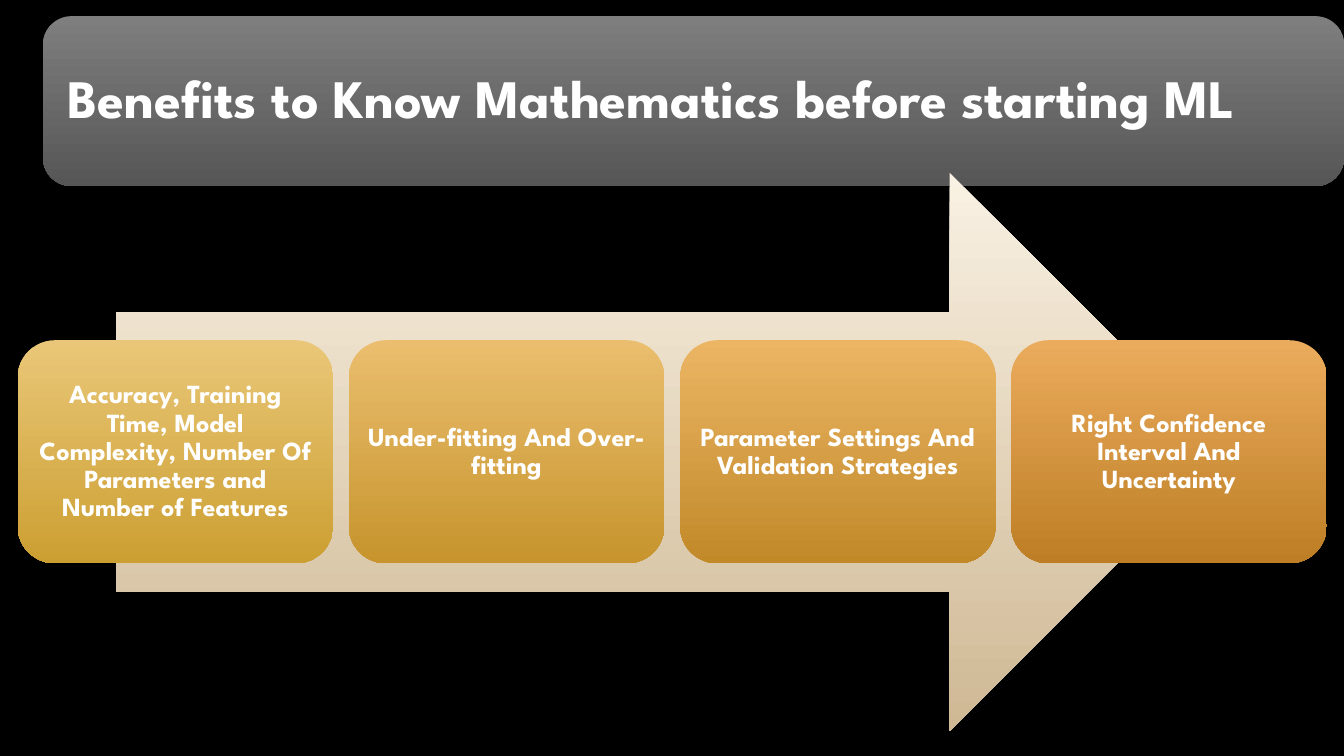
from dataclasses import dataclass
from pptx import Presentation
from pptx.dml.color import RGBColor as Rgb
from pptx.enum.shapes import MSO_SHAPE as Kind
from pptx.enum.text import MSO_ANCHOR as Anchor, PP_ALIGN as Align
from pptx.util import Inches, Pt

COLS, ROWS = 100, 56.25
UNIT = Inches(0.1)
CORNER = 1 / 6
INSET = CORNER * (1 - 0.5 ** 0.5)


@dataclass(frozen=True)
class Theme:
    font: str = "League Spartan"
    back: str = "000000"
    ink: str = "FFFFFF"
    head: tuple = ("7E7E7E", "565656")
    arrow: tuple = ("F9F1E3", "CFB894")
    cards: tuple = (
        ("EAC778", "CC9F32"),
        ("EABE6E", "C7942D"),
        ("EBB564", "C28929"),
        ("EBAB5C", "BD7E25"),
    )
    big: int = 29
    small: int = 14


THEME = Theme()


def scale(box):
    return [round(side * UNIT) for side in box]


def add_form(slide, kind, box, tones):
    form = slide.shapes.add_shape(kind, *scale(box))
    form.shadow.inherit = False
    form.line.fill.background()
    form.fill.gradient()
    form.fill.gradient_angle = 270
    for stop, tone in zip(form.fill.gradient_stops, tones):
        stop.color.rgb = Rgb.from_string(tone)


def add_text(slide, box, text, size=THEME.small, align=Align.CENTER, pad=0.58):
    frame = slide.shapes.add_textbox(*scale(box)).text_frame
    frame.word_wrap = True
    frame.vertical_anchor = Anchor.MIDDLE
    frame.margin_left = frame.margin_right = round(pad * UNIT)
    frame.margin_top = frame.margin_bottom = round(pad * UNIT)
    para = frame.paragraphs[0]
    para.alignment = align
    para.line_spacing = 0.9
    run = para.add_run()
    run.text = text
    run.font.name = THEME.font
    run.font.size = Pt(size)
    run.font.bold = True
    run.font.color.rgb = Rgb.from_string(THEME.ink)


def add_panel(slide, box, text, tones, **look):
    left, top, width, height = box
    edge = height * INSET
    add_form(slide, Kind.ROUNDED_RECTANGLE, box, tones)
    inner = (left + edge, top + edge, width - 2 * edge, height - 2 * edge)
    add_text(slide, inner, text, **look)


def add_title(slide, box, text):
    add_panel(slide, box, text, THEME.head, size=THEME.big, align=Align.LEFT, pad=1.2)


def add_cards(slide, box, texts, gap=1.17):
    left, top, width, height = box
    wide = (width - gap * (len(texts) - 1)) / len(texts)
    for col, (text, tones) in enumerate(zip(texts, THEME.cards)):
        add_panel(slide, (left + col * (wide + gap), top, wide, height), text, tones)


def add_flow(slide, box, texts):
    left, top, width, height = box
    add_form(slide, Kind.RIGHT_ARROW, (left + width * 0.075, top, width * 0.85, height), THEME.arrow)
    add_cards(slide, (left, top + height * 0.3, width, height * 0.4), texts)


def main():
    deck = Presentation()
    deck.slide_width, deck.slide_height = scale((COLS, ROWS))
    slide = deck.slides.add_slide(deck.slide_layouts[6])
    slide.background.fill.solid()
    slide.background.fill.fore_color.rgb = Rgb.from_string(THEME.back)
    add_title(slide, (3.2, 1.2, COLS - 3.2, 12.64), "Benefits to Know Mathematics before starting ML")
    add_flow(slide, (1.32, 12.87, 97.4, 41.5), (
        "Accuracy, Training Time, Model Complexity, Number Of Parameters and Number of Features",
        "Under-fitting And Over-fitting",
        "Parameter Settings And Validation Strategies",
        "Right Confidence Interval And Uncertainty",
    ))
    deck.save("out.pptx")


if __name__ == "__main__":
    main()
